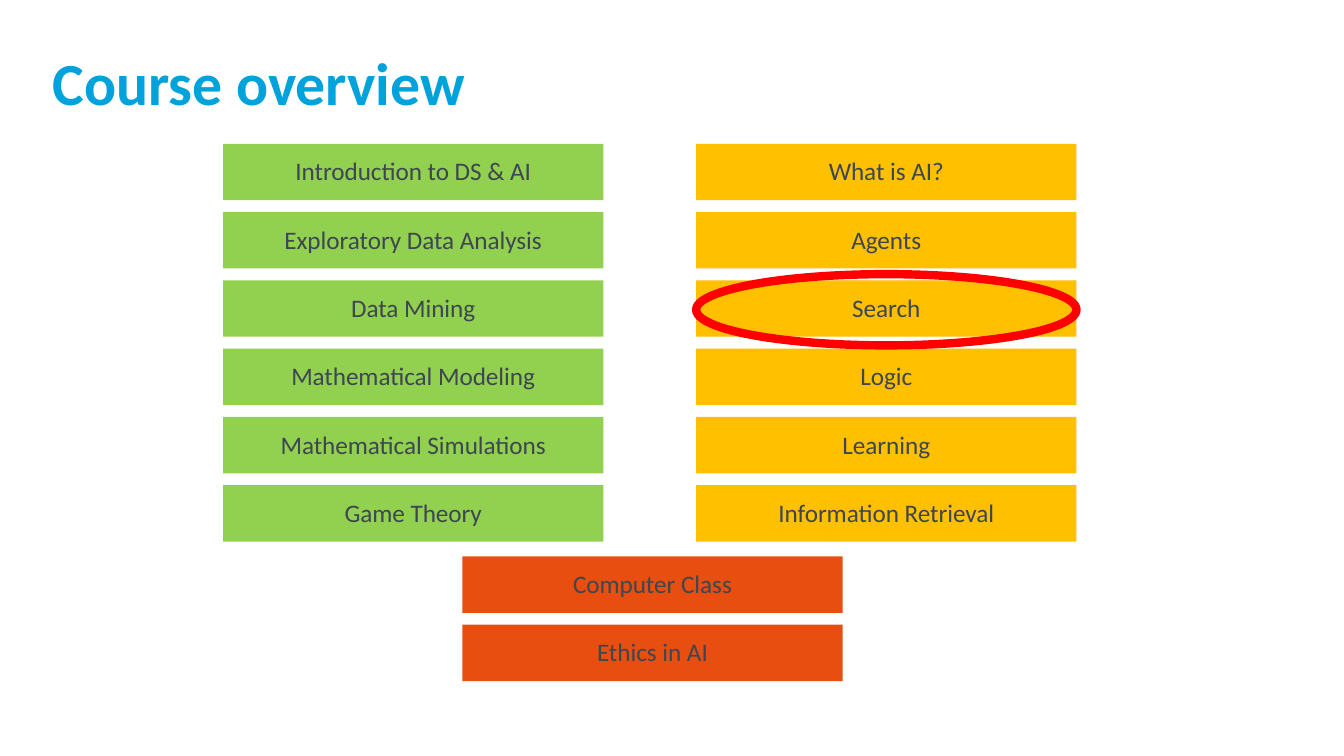
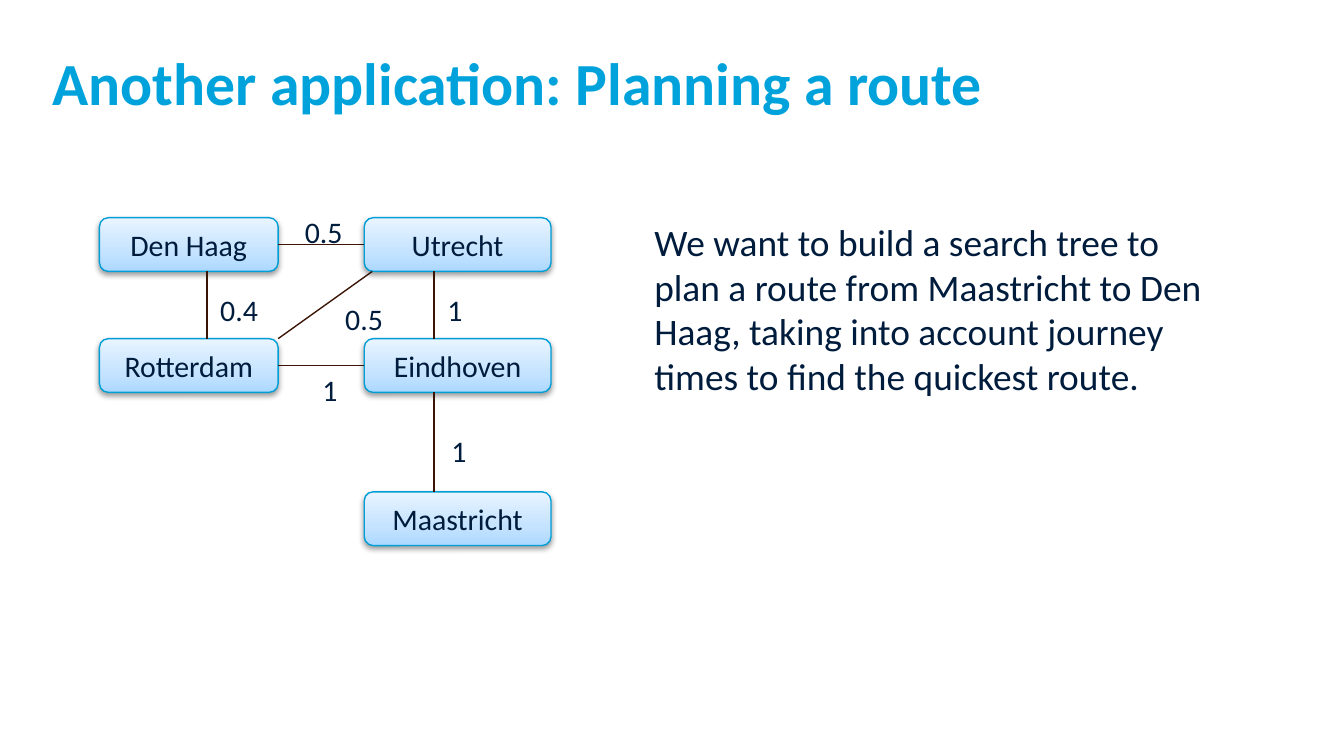
import copy
import pptx
import pptx.util
import pptx.dml.color
import pptx.enum.shapes
import pptx.enum.text
import pptx.oxml
import pptx.oxml.ns

Inches, Pt = pptx.util.Inches, pptx.util.Pt
RGBColor = pptx.dml.color.RGBColor
SHAPE = pptx.enum.shapes.MSO_SHAPE
STRAIGHT = pptx.enum.shapes.MSO_CONNECTOR.STRAIGHT
ALIGN = pptx.enum.text.PP_ALIGN
ANCHOR = pptx.enum.text.MSO_ANCHOR
GROW = pptx.enum.text.MSO_AUTO_SIZE.SHAPE_TO_FIT_TEXT
qn = pptx.oxml.ns.qn

CYAN = RGBColor(0x00, 0xA2, 0xDB)
SLATE = RGBColor(0x3D, 0x46, 0x51)
NAVY = RGBColor(0x00, 0x1C, 0x3D)
GREEN = RGBColor(0x92, 0xD0, 0x50)
AMBER = RGBColor(0xFF, 0xC0, 0x00)
ORANGE = RGBColor(0xE8, 0x4E, 0x10)
RED = RGBColor(0xFF, 0x00, 0x00)
BROWN = RGBColor(0x3A, 0x14, 0x04)
EDGE = RGBColor(0x00, 0x9E, 0xD6)
SHADES = [(0, RGBColor(0xAC, 0xD8, 0xFF)), (0.35, RGBColor(0xC4, 0xE3, 0xFF)),
          (1, RGBColor(0xE9, 0xF4, 0xFF))]

WIDTH = Inches(10)
HEIGHT = WIDTH * 9 // 16

FONT = "Calibri"
TITLE = {"name": FONT, "size": Pt(32), "bold": True}
TOPIC = {"name": FONT, "size": Pt(13.5)}
CITY = {"name": FONT, "size": Pt(16)}
BODY = {"name": FONT, "size": Pt(20)}
NO_INSET = dict.fromkeys(
    ["margin_left", "margin_top", "margin_right", "margin_bottom"], 0)
TOP = {"vertical_anchor": ANCHOR.TOP, "word_wrap": True}
MIDDLE = {"vertical_anchor": ANCHOR.MIDDLE, "word_wrap": True}

BAR_W, BAR_H = 2.83, 0.42
PITCH = 2.54 / 5
LEFT = ["Introduction to DS & AI", "Exploratory Data Analysis", "Data Mining",
        "Mathematical Modeling", "Mathematical Simulations", "Game Theory"]
RIGHT = ["What is AI?", "Agents", "Search", "Logic", "Learning",
         "Information Retrieval"]
BOTTOM = ["Computer Class", "Ethics in AI"]

CITY_H = 0.4
# name: left, top, width within the map
CITIES = {
    "Den Haag": (0, 0, 1.33),
    "Utrecht": (1.97, 0, 1.39),
    "Rotterdam": (0, 0.9, 1.33),
    "Eindhoven": (1.97, 0.9, 1.39),
    "Maastricht": (1.97, 2.04, 1.39),
}
LEVEL = [("Den Haag", 3, "Utrecht", 1), ("Eindhoven", 1, "Rotterdam", 3)]
ROADS = [(0.8, 0.4, 0.8, 0.9), (2.49, 0.4, 2.49, 0.9),
         (2.49, 1.3, 2.49, 2.04), (1.33, 0.9, 2.03, 0.4)]
TIMES = [("0.5", 1.43, -0.08), ("0.4", 0.8, 0.5), ("0.5", 1.73, 0.57),
         ("1", 2.49, 0.5), ("1", 1.56, 1.1), ("1", 2.52, 1.55)]


def apply(item, form):
    for key, value in form.items():
        setattr(item, key, value)


def write(frame, text, font, color, align=ALIGN.LEFT, **form):
    """Fill a text frame with one paragraph in one format."""
    apply(frame, form)
    para = frame.paragraphs[0]
    para.alignment = align
    run = para.add_run()
    run.text = text
    apply(run.font, font)
    run.font.color.rgb = color


def stroke(item, color, width):
    item.line.color.rgb = color
    item.line.width = Pt(width)


def add_slide(deck, title):
    slide = deck.slides.add_slide(deck.slide_layouts[5])
    holder = slide.shapes.title
    apply(holder, {"left": Inches(0.39), "top": Inches(0.34),
                   "width": Inches(9.11), "height": Inches(0.62)})
    write(holder.text_frame, title, TITLE, CYAN, **NO_INSET, **TOP)
    return slide


def add_form(slide, kind, x, y, w, h):
    form = slide.shapes.add_shape(kind, Inches(x), Inches(y), Inches(w), Inches(h))
    form.shadow.inherit = False
    return form


def add_text(slide, text, x, y, w, h, font, color=NAVY, align=ALIGN.LEFT,
             wrap=True):
    box = slide.shapes.add_textbox(Inches(x), Inches(y), Inches(w), Inches(h))
    write(box.text_frame, text, font, color, align, word_wrap=wrap,
          auto_size=GROW)


def add_stack(slide, x, y, topics, color):
    """Stack one labelled bar for each topic, from the top left corner."""
    for row, topic in enumerate(topics):
        top = y + row * PITCH
        bar = add_form(slide, SHAPE.RECTANGLE, x, top, BAR_W, BAR_H)
        bar.fill.solid()
        bar.fill.fore_color.rgb = color
        bar.line.fill.background()
        add_text(slide, topic, x, top + 0.04, BAR_W, 0.33, TOPIC, SLATE,
                 ALIGN.CENTER)


def add_ring(slide, x, y, w, h):
    ring = add_form(slide, SHAPE.OVAL, x, y, w, h)
    ring.fill.background()
    stroke(ring, RED, 4.5)


def shade(form):
    """Give a form the three-stop gradient and a soft shadow below."""
    form.fill.gradient()
    form.fill.gradient_angle = 90
    props = form._element.spPr
    stops = props.find(qn("a:gradFill")).find(qn("a:gsLst"))
    stops.insert(1, copy.deepcopy(stops[0]))
    for stop, (place, color) in zip(form.fill.gradient_stops, SHADES):
        stop.position = place
        stop.color.rgb = color
    props.find(qn("a:effectLst")).append(pptx.oxml.parse_xml(
        f'<a:outerShdw {pptx.oxml.ns.nsdecls("a")} blurRad="{Pt(3.1)}" '
        f'dist="{Pt(1.6)}" dir="5400000" rotWithShape="0">'
        '<a:srgbClr val="000000"><a:alpha val="38000"/></a:srgbClr>'
        '</a:outerShdw>'))


def add_city(slide, name, x, y, w):
    city = add_form(slide, SHAPE.ROUNDED_RECTANGLE, x, y, w, CITY_H)
    shade(city)
    stroke(city, EDGE, 0.75)
    write(city.text_frame, name, CITY, NAVY, ALIGN.CENTER, **MIDDLE)
    return city


def add_road(slide, *ends):
    road = slide.shapes.add_connector(STRAIGHT, *map(Inches, ends))
    stroke(road, BROWN, 0.75)
    props = road._element.spPr
    props.append(props.makeelement(qn("a:effectLst"), {}))
    return road


def add_map(slide, x, y):
    """Draw cities, roads and journey times from the given corner."""
    nodes = {name: add_city(slide, name, x + dx, y + dy, w)
             for name, (dx, dy, w) in CITIES.items()}
    for start, out, end, into in LEVEL:
        road = add_road(slide, 0, 0, 0, 0)
        road.begin_connect(nodes[start], out)
        road.end_connect(nodes[end], into)
    for x1, y1, x2, y2 in ROADS:
        add_road(slide, x + x1, y + y1, x + x2, y + y2)
    for time, dx, dy in TIMES:
        width = 0.32 if len(time) == 1 else 0.49
        add_text(slide, time, x + dx, y + dy, width, 0.37, CITY, wrap=False)


def build_course(deck):
    slide = add_slide(deck, "Course overview")
    add_stack(slide, 1.66, 1.07, LEFT, GREEN)
    add_stack(slide, 5.18, 1.07, RIGHT, AMBER)
    add_stack(slide, 3.44, 4.14, BOTTOM, ORANGE)
    add_ring(slide, 5.18, 2.04, BAR_W, 0.53)


def build_route(deck):
    slide = add_slide(deck, "Another application: Planning a route")
    add_map(slide, 0.74, 1.62)
    add_text(slide, "We want to build a search tree to plan a route from "
             "Maastricht to Den Haag, taking into account journey times to "
             "find the quickest route.", 4.77, 1.58, 4.31, 1.45, BODY)


def main():
    deck = pptx.Presentation()
    deck.slide_width, deck.slide_height = WIDTH, HEIGHT
    build_course(deck)
    build_route(deck)
    deck.save("out.pptx")


if __name__ == "__main__":
    main()
